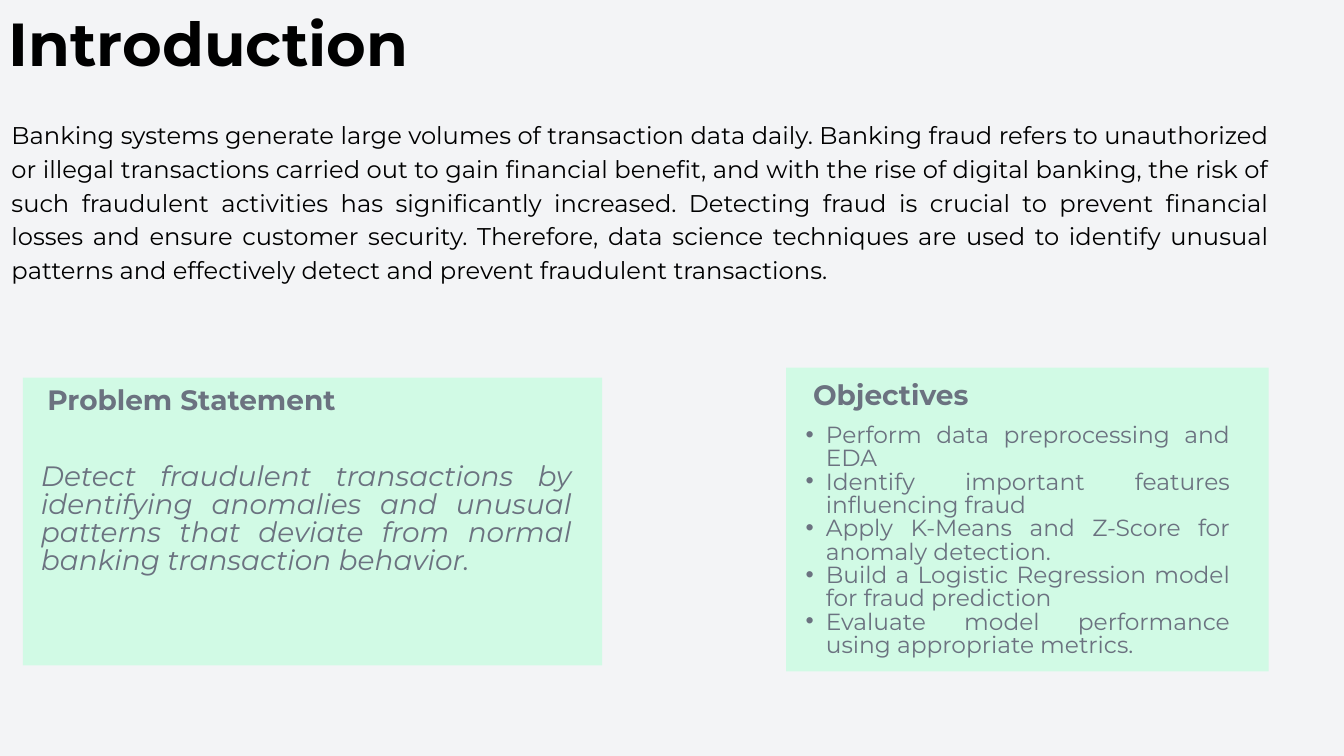
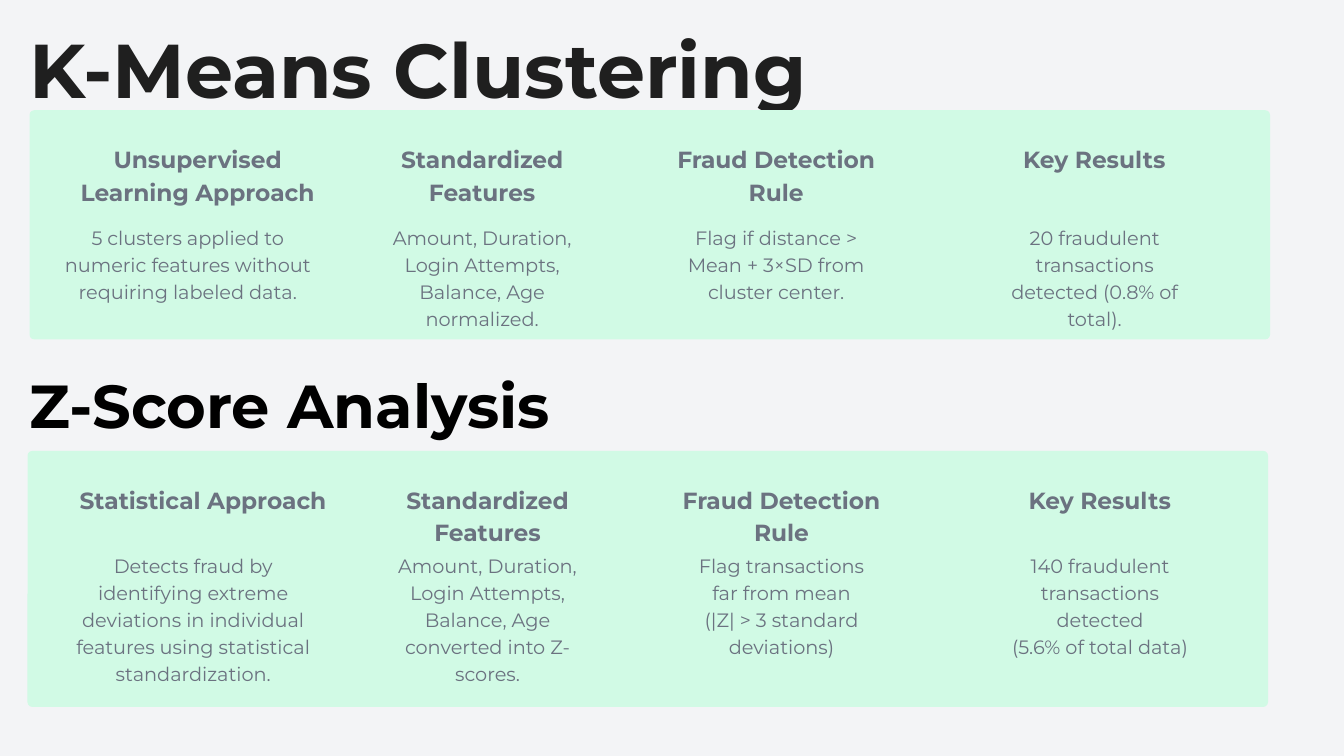
from dataclasses import dataclass

from lxml.etree import SubElement
from pptx import Presentation
from pptx.dml.color import RGBColor
from pptx.enum.shapes import MSO_SHAPE
from pptx.enum.text import MSO_ANCHOR, MSO_AUTO_SIZE, PP_ALIGN
from pptx.oxml.ns import qn
from pptx.util import Inches, Pt


@dataclass(frozen=True)
class Style:
    size: float
    leading: float
    color: RGBColor
    bold: bool = False
    italic: bool = False


class Theme:
    font = "Montserrat"
    page = RGBColor(0xF3, 0xF4, 0xF6)
    panel = RGBColor(0xD1, 0xFA, 0xE5)
    black = RGBColor(0, 0, 0)
    ink = RGBColor(0x1F, 0x1F, 0x1F)
    gray = RGBColor(0x6B, 0x72, 0x80)

    title = Style(65, 91, black, bold=True)
    large_title = Style(81.6, 114.2, ink, bold=True)
    section_title = Style(65, 65, black, bold=True)
    intro = Style(25.9, 36.2, black)
    problem_heading = Style(30, 30, gray, bold=True)
    objectives_heading = Style(30, 42, gray, bold=True)
    statement = Style(30, 30, gray, italic=True)
    objective = Style(25, 25, gray)
    column_heading = Style(25, 35, gray, bold=True)
    column_body = Style(20.7, 28.9, gray)


@dataclass(frozen=True)
class Box:
    left: float
    top: float
    width: float
    height: float

    def inner(self, left, top, width, height):
        """Return a box whose position is relative to this one."""
        return Box(self.left + left, self.top + top, width, height)

    def lengths(self):
        return [Inches(value) for value in (self.left, self.top, self.width, self.height)]


@dataclass(frozen=True)
class Column:
    heading_left: float
    heading_width: float
    body_left: float
    body_width: float


COLUMNS = [
    Column(0.46, 4.08, 0.46, 3.79),
    Column(5.06, 3.35, 5.06, 3.35),
    Column(9.34, 3.54, 9.66, 2.9),
    Column(14.27, 3.15, 14.4, 2.9),
]


def add_bullet(para):
    properties = para._p.get_or_add_pPr()
    properties.set("marL", str(Inches(0.59)))
    properties.set("indent", str(Inches(-0.3)))
    SubElement(properties, qn("a:buFont")).set("typeface", "Arial")
    SubElement(properties, qn("a:buChar")).set("char", "•")


def fill_text(shape, lines, style, align, bulleted=False):
    frame = shape.text_frame
    frame.word_wrap = True
    frame.auto_size = MSO_AUTO_SIZE.NONE
    frame.vertical_anchor = MSO_ANCHOR.TOP
    frame.margin_left = frame.margin_right = 0
    frame.margin_top = frame.margin_bottom = 0
    frame.text = "\n".join(lines)
    for para in frame.paragraphs:
        para.alignment = align
        para.line_spacing = Pt(style.leading)
        if bulleted:
            add_bullet(para)
        font = para.font
        font.name = Theme.font
        font.size = Pt(style.size)
        font.bold = style.bold
        font.italic = style.italic
        font.color.rgb = style.color


def add_text(page, box, lines, style, align=PP_ALIGN.CENTER, bulleted=False):
    fill_text(page.shapes.add_textbox(*box.lengths()), lines, style, align, bulleted)


def add_titled_page(deck, title, box, style, align):
    page = deck.slides.add_slide(deck.slide_layouts.get_by_name("Title Only"))
    shape = page.shapes.title
    shape.left, shape.top, shape.width, shape.height = box.lengths()
    fill_text(shape, [title], style, align)
    return page


def add_panel(page, box, radius=0):
    kind = MSO_SHAPE.ROUNDED_RECTANGLE if radius else MSO_SHAPE.RECTANGLE
    panel = page.shapes.add_shape(kind, *box.lengths())
    if radius:
        panel.adjustments[0] = radius / min(box.width, box.height)
    panel.shadow.inherit = False
    panel.fill.solid()
    panel.fill.fore_color.rgb = Theme.panel
    panel.line.fill.background()


def add_problem(page, box):
    add_panel(page, box)
    add_text(page, box.inner(0.14, 0.16, 4.74, 0.42), ["Problem Statement"],
             Theme.problem_heading)
    add_text(page, box.inner(0.27, 1.29, 7.9, 1.69),
             ["Detect fraudulent transactions by identifying anomalies and unusual "
              "patterns that deviate from normal banking transaction behavior."],
             Theme.statement, PP_ALIGN.JUSTIFY)


def add_objectives(page, box):
    add_panel(page, box)
    add_text(page, box.inner(0.35, 0.06, 2.41, 0.54), ["Objectives"],
             Theme.objectives_heading)
    objectives = [
        "Perform data preprocessing and EDA",
        "Identify important features influencing fraud",
        "Apply K-Means and Z-Score for anomaly detection.",
        "Build a Logistic Regression model for fraud prediction",
        "Evaluate model performance using appropriate metrics.",
    ]
    add_text(page, box.inner(0, 0.85, 6.6, 3.44), objectives, Theme.objective,
             PP_ALIGN.JUSTIFY, bulleted=True)


def add_method(page, box, entries, body_top, shift=0):
    """Draw a band of columns; each entry is heading, its line count, body, its line count."""
    add_panel(page, box, radius=0.07)
    for column, (heading, heading_lines, body, body_lines) in zip(COLUMNS, entries):
        heading_box = box.inner(column.heading_left + shift, 0.45,
                                column.heading_width, 0.48 * heading_lines - 0.04)
        body_box = box.inner(column.body_left + shift, body_top,
                             column.body_width, 0.4 * body_lines - 0.04)
        add_text(page, heading_box, [heading], Theme.column_heading)
        add_text(page, body_box, body, Theme.column_body)


def add_introduction(deck):
    page = add_titled_page(deck, "Introduction", Box(0, -0.1, 6.21, 1.23),
                           Theme.title, PP_ALIGN.CENTER)
    add_problem(page, Box(0.34, 5.62, 8.62, 4.28))
    add_objectives(page, Box(11.7, 5.47, 7.18, 4.52))
    add_text(page, Box(0.17, 1.72, 18.71, 2.46),
             ["Banking systems generate large volumes of transaction data daily. "
              "Banking fraud refers to unauthorized or illegal transactions carried out "
              "to gain financial benefit, and with the rise of digital banking, the risk "
              "of such fraudulent activities has significantly increased. Detecting fraud "
              "is crucial to prevent financial losses and ensure customer security. "
              "Therefore, data science techniques are used to identify unusual patterns "
              "and effectively detect and prevent fraudulent transactions."],
             Theme.intro, PP_ALIGN.JUSTIFY)


def add_methods(deck):
    page = add_titled_page(deck, "K-Means Clustering", Box(0.44, 0.11, 11.77, 1.53),
                           Theme.large_title, PP_ALIGN.LEFT)
    clustering = [
        ("Unsupervised Learning Approach", 2,
         ["5 clusters applied to numeric features without requiring labeled data."], 3),
        ("Standardized Features", 2,
         ["Amount, Duration, Login Attempts, Balance, Age normalized."], 4),
        ("Fraud Detection Rule", 2,
         ["Flag if distance > Mean + 3×SD from cluster center."], 3),
        ("Key Results", 1,
         ["20 fraudulent transactions detected (0.8% of total)."], 4),
    ]
    z_score = [
        ("Statistical Approach", 1,
         ["Detects fraud by identifying extreme deviations in individual features "
          "using statistical standardization."], 5),
        ("Standardized Features", 2,
         ["Amount, Duration, Login Attempts, Balance, Age converted into Z-scores."], 6),
        ("Fraud Detection Rule", 2,
         ["Flag transactions far from mean", "(|Z| > 3 standard deviations)"], 4),
        ("Key Results", 1,
         ["140 fraudulent transactions detected", "(5.6% of total data)"], 4),
    ]
    add_method(page, Box(0.44, 1.64, 18.46, 3.41), clustering, body_top=1.67)
    add_method(page, Box(0.41, 6.71, 18.46, 3.81), z_score, body_top=1.48, shift=0.11)
    add_text(page, Box(0.44, 5.65, 8.62, 0.95), ["Z-Score Analysis"],
             Theme.section_title, PP_ALIGN.JUSTIFY)


def main():
    deck = Presentation()
    deck.slide_width, deck.slide_height = Inches(20), Inches(11.25)
    background = deck.slide_master.background.fill
    background.solid()
    background.fore_color.rgb = Theme.page
    add_introduction(deck)
    add_methods(deck)
    deck.save("out.pptx")


if __name__ == "__main__":
    main()
